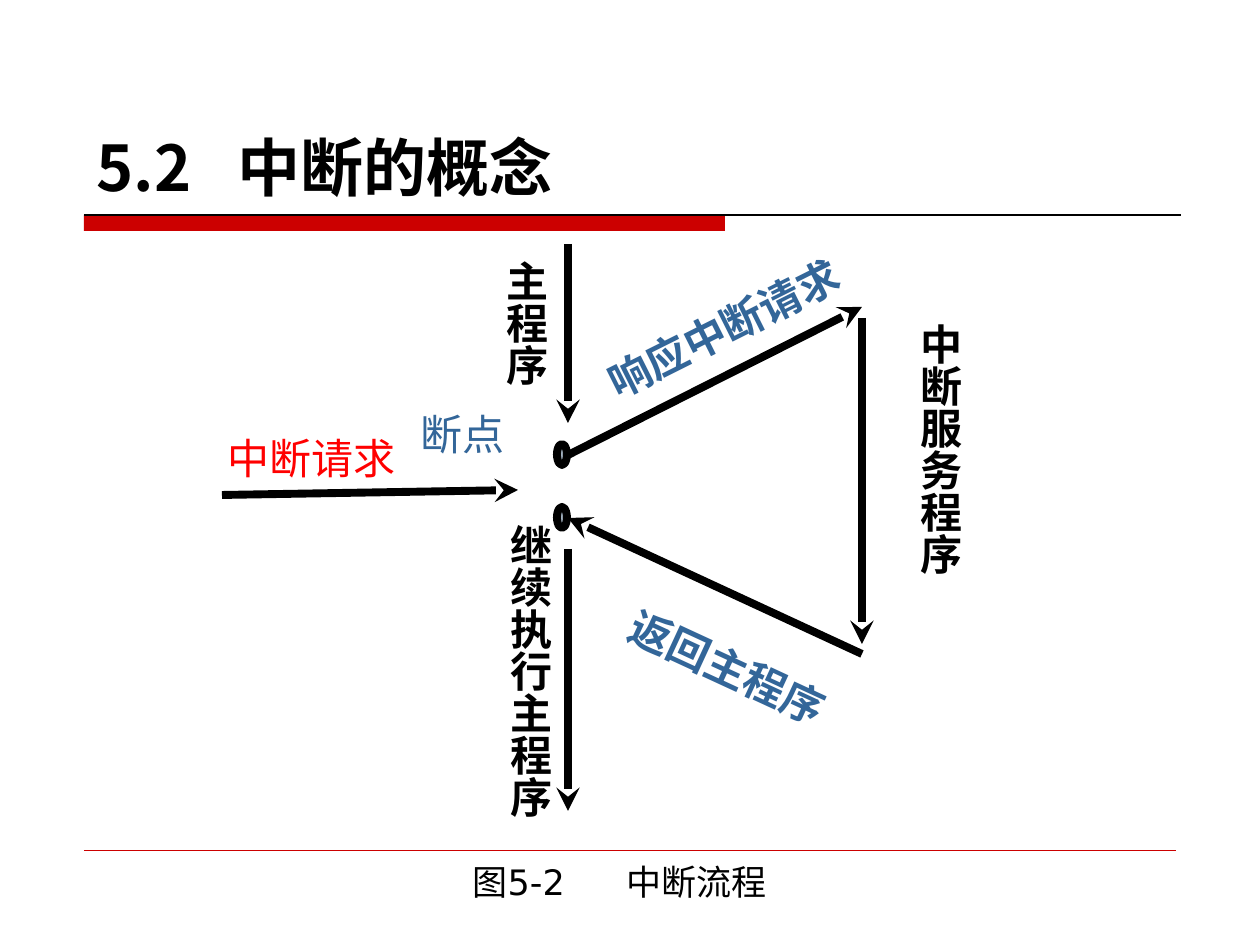
from lxml.etree import SubElement
from pptx import Presentation
from pptx.dml.color import RGBColor
from pptx.enum.shapes import MSO_CONNECTOR as Connector, MSO_SHAPE as Shape
from pptx.enum.text import MSO_ANCHOR as Anchor, MSO_AUTO_SIZE as AutoSize, PP_ALIGN as Align
from pptx.oxml.ns import qn
from pptx.util import Emu, Pt

BLACK, RED, BLUE = "000000", "CC0000", "336699"


def px(length):
    return Emu(round(length * 914400 / 126))


def color(value):
    return RGBColor.from_string(value)


class FlowSlide:
    font = "Times New Roman"
    size = 24
    stroke = 4.5

    def __init__(self, page):
        self.page = page

    def set_text(self, box, text, ink, bold=False, font=font, size=size, tab=None):
        para = box.text_frame.paragraphs[0]
        para.text = text
        para.alignment = Align.LEFT
        para.font.name = font
        para.font.size = Pt(size)
        para.font.bold = bold
        para.font.color.rgb = color(ink)
        if tab:
            stops = para._p.get_or_add_pPr().makeelement(qn("a:tabLst"), {})
            SubElement(stops, qn("a:tab"), pos=str(px(tab)), algn="l")
            para._p.pPr.insert(0, stops)

    def caption(self, text, area, tab):
        box = self.page.shapes.title
        box.left, box.top, box.width, box.height = map(px, area)
        box.text_frame.vertical_anchor = Anchor.BOTTOM
        box.text_frame.auto_size = AutoSize.NONE
        self.set_text(box, text, BLACK, font="DejaVu Sans", size=20, tab=tab)

    def heading(self, text, area, tab):
        box = self.page.shapes.add_textbox(*map(px, area))
        box.text_frame.word_wrap = True
        box.text_frame.vertical_anchor = Anchor.BOTTOM
        self.set_text(box, text, BLACK, True, "Noto Sans CJK SC", 36, tab)

    def label(self, text, area, ink, bold=True, turn=0, vertical=False):
        box = self.page.shapes.add_textbox(*map(px, area))
        box.rotation = turn
        box.text_frame.word_wrap = False
        box.text_frame.auto_size = AutoSize.SHAPE_TO_FIT_TEXT
        if vertical:
            box.text_frame._txBody.bodyPr.set("vert", "eaVert")
        self.set_text(box, text, ink, bold)

    def shape(self, kind, area, fill, weight=None):
        shape = self.page.shapes.add_shape(kind, *map(px, area))
        shape.shadow.inherit = False
        shape.fill.solid()
        shape.fill.fore_color.rgb = color(fill)
        if weight:
            shape.line.color.rgb = color(BLACK)
            shape.line.width = Pt(weight)
        else:
            shape.line.fill.background()

    def line(self, start, end, ink, weight):
        line = self.page.shapes.add_connector(
            Connector.STRAIGHT, *map(px, start + end))
        line.line.color.rgb = color(ink)
        line.line.width = Pt(weight)
        SubElement(line._element.spPr, qn("a:effectLst"))
        return line

    def arrow(self, start, end):
        arrow = self.line(start, end, BLACK, self.stroke)
        SubElement(arrow.line._get_or_add_ln(), qn("a:tailEnd"), type="stealth")


def main():
    deck = Presentation()
    deck.slide_width, deck.slide_height = px(1260), px(945)
    slide = FlowSlide(deck.slides.add_slide(deck.slide_layouts[5]))

    slide.shape(Shape.RECTANGLE, (84, 215, 641, 16), RED)
    slide.line((84, 215), (1181, 215), BLACK, 0.75)
    slide.line((84, 850), (1176, 850), RED, 0.25)
    slide.caption("图5-2\t中断流程", (460, 854, 402, 55), 154)
    slide.heading("5.2\t中断的概念", (84, 116, 1050, 94), 141)

    main_x, service_x = 568, 862
    for top in (444, 507):
        slide.shape(Shape.OVAL, (557, top, 10, 21), "A3B2C1", slide.stroke)
    for start, end in (
        ((main_x, 244), (main_x, 423)),
        ((main_x, 455), (service_x, 307)),
        ((service_x, 318), (service_x, 644)),
        ((service_x, 654), (main_x, 518)),
        ((main_x, 549), (main_x, 811)),
        ((222, 495), (518, 490)),
    ):
        slide.arrow(start, end)

    for text, area in (
        ("主程序", (481, 248, 76, 137)),
        ("中断服务程序", (895, 311, 76, 260)),
        ("继续执行主程序", (485, 512, 76, 307)),
    ):
        slide.label(text, area, BLACK, vertical=True)
    slide.label("响应中断请求", (585, 296, 280, 63), BLUE, turn=333.4)
    slide.label("返回主程序", (610, 636, 236, 63), BLUE, turn=24.9)
    slide.label("断点", (408, 402, 110, 63), BLUE, bold=False)
    slide.label("中断请求", (215, 426, 193, 63), "FF0000", bold=False)

    deck.save("out.pptx")


if __name__ == "__main__":
    main()
